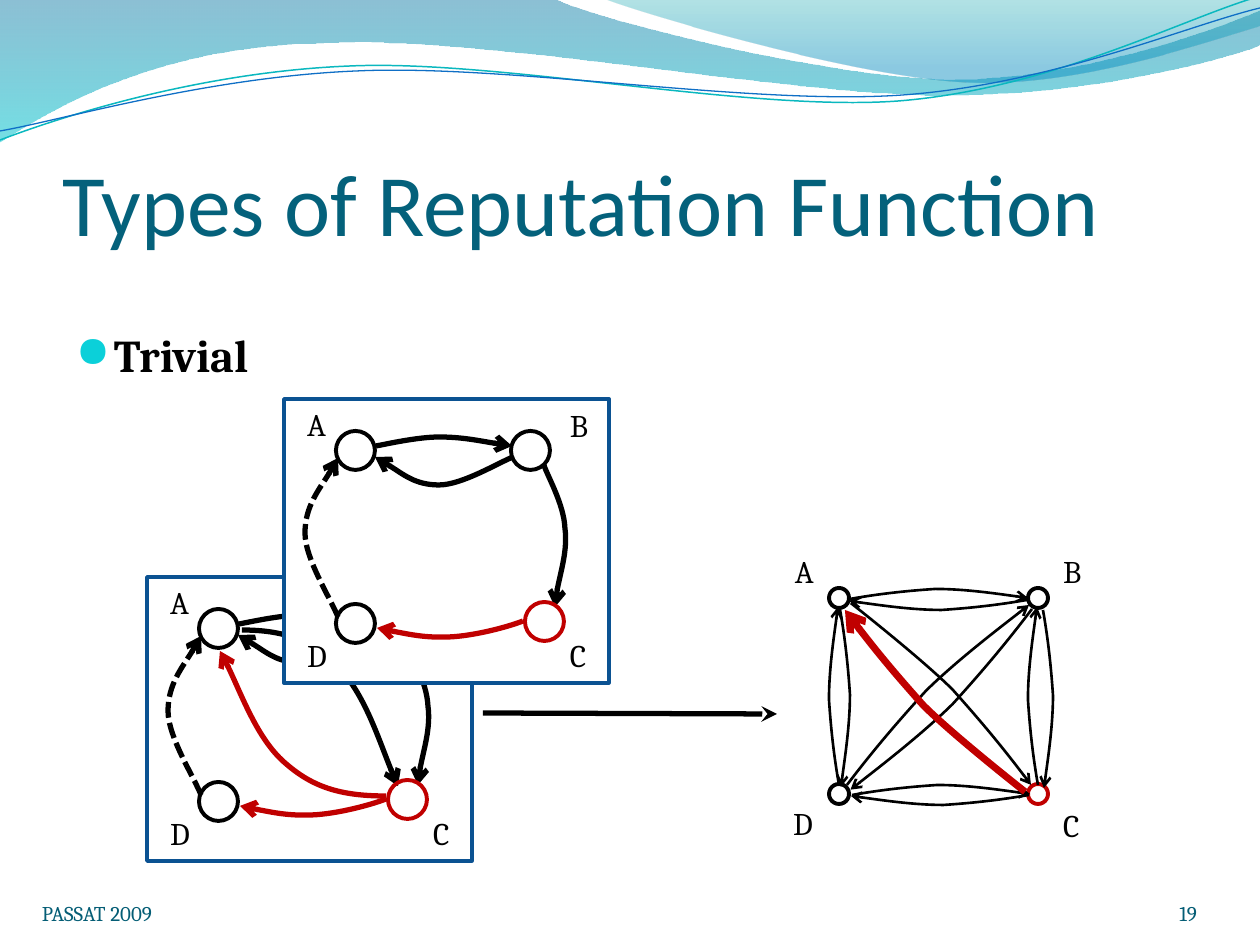
from math import cos, radians, sin

from lxml import etree
from pptx import Presentation
from pptx.dml.color import RGBColor
from pptx.enum.dml import MSO_LINE
from pptx.enum.shapes import MSO_CONNECTOR, MSO_SHAPE
from pptx.enum.text import MSO_ANCHOR, MSO_AUTO_SIZE, PP_ALIGN
from pptx.oxml.ns import qn
from pptx.util import Pt

OVAL, RECT = MSO_SHAPE.OVAL, MSO_SHAPE.RECTANGLE
STRAIGHT = MSO_CONNECTOR.STRAIGHT
DASH = MSO_LINE.SQUARE_DOT
TOP, BOTTOM = MSO_ANCHOR.TOP, MSO_ANCHOR.BOTTOM
LEFT, RIGHT = PP_ALIGN.LEFT, PP_ALIGN.RIGHT
FIT_SHAPE = MSO_AUTO_SIZE.SHAPE_TO_FIT_TEXT

EMU_PER_PX = 914400 / 126
BLACK, RED, WHITE = "000000", "C00000", "FFFFFF"
FOOTER_COLOUR = "045D75"

WAVES = [
    ((0, 0), [(554, -1), (600, 21, 837, 79, 955, 79), (1075, 79, 1207, 33, 1260, 11),
              (1261, 45), (1239, 55, 1096, 96, 940, 95), (784, 95, 481, 35, 324, 43),
              (163, 45, 58, 105, -1, 142), (0, 0)],
     [(0, "0074A1", 45), (1, "00C6CF", 55)]),
    ((604, -1), [(641, 14, 859, 78, 969, 82), (1079, 87, 1211, 40, 1260, 26),
                 (1260, 0), (604, -1)],
     [(0, "00A1A9", 30), (0.8, "008BBF", 45)]),
]
RIPPLES = [
    ((0, 140), [(60, 117, 199, 72, 349, 66), (498, 59, 747, 112, 898, 101),
                (1050, 89, 1182, 19, 1257, -3)], "0AB8BF", 0.85),
    ((0, 131), [(59, 121, 207, 77, 357, 71), (508, 64, 752, 106, 903, 95),
                (1053, 84, 1186, 26, 1260, 8)], "0F6FC6", 0.75),
]
PANEL_NODES = {
    "A": (52, 32, 10, 0), "B": (227, 32, 273, 1),
    "C": (241, 203, 273, 231), "D": (52, 205, 10, 231),
}
PANEL_EDGES = [
    ((92, 47), [(103, 45, 134, 38, 155, 38), (178, 38, 213, 45, 228, 47)], BLACK, None),
    ((229, 58), [(214, 64, 178, 86, 155, 86), (131, 86, 101, 63, 91, 58)], BLACK, None),
    ((239, 222), [(224, 228, 190, 237, 165, 238), (141, 239, 106, 232, 93, 229)], RED, None),
    ((54, 218), [(47, 200, 21, 160, 21, 134), (21, 107, 48, 72, 54, 59)], BLACK, DASH),
    ((260, 66), [(263, 76, 280, 105, 281, 129), (284, 151, 271, 193, 271, 208)], BLACK, None),
]
DIRECT_EDGES = [
    ((239, 219), [(193, 219, 165, 210, 137, 185), (110, 161, 87, 98, 73, 74)], RED, None),
    ((95, 53), [(137, 53, 164, 63, 190, 89), (217, 115, 238, 181, 251, 209)], BLACK, None),
]
NETWORK_NODES = {
    "A": (49, 42, 2, 0), "B": (248, 42, 270, 0),
    "C": (248, 238, 270, 254), "D": (49, 238, 0, 252),
}
SIDE, DIAGONAL = (178, 10), (256, 12)
MIRRORED = (256, -12)
NETWORK_ARCS = [
    ((70, 53), SIDE, 0), ((247, 54), SIDE, 180),
    ((72, 249), SIDE, 0), ((249, 249), SIDE, 180),
    ((258, 239), SIDE, 270), ((263, 64), SIDE, 90),
    ((59, 239), SIDE, 270), ((60, 63), SIDE, 90),
    ((67, 239), DIAGONAL, 315.6), ((252, 63), DIAGONAL, 135.4),
    ((251, 239), MIRRORED, 225, "a:headEnd"),
    ((65, 64), MIRRORED, 45, "a:headEnd", RED, 4),
]
ARC_PROFILE = [(0.16, -0.5, 0.31, -0.8, 0.48, -1), (0.65, -1, 1, -0.1, 1, -0.1)]


def px(length):
    """Turn px into EMU."""
    return round(length * EMU_PER_PX)


def rgb(colour):
    """Turn a hex string into a colour."""
    return RGBColor.from_string(colour)


def pairs(step):
    """Split a flat step into points."""
    return list(zip(step[::2], step[1::2]))


def moved(step, x, y):
    """Shift a flat step by x and y."""
    return tuple(v + (y if i % 2 else x) for i, v in enumerate(step))


def set_line(shape, colour, width, dash=None, arrow=None, end="a:tailEnd"):
    """Style an outline, with an optional dash and arrowhead."""
    shape.line.color.rgb = rgb(colour)
    shape.line.width = Pt(width)
    if dash is not None:
        shape.line.dash_style = dash
    if arrow:
        outline = shape.line._get_or_add_ln()
        etree.SubElement(outline, qn(end)).set("type", arrow)


def add_path(slide, start, steps, closed=False):
    """Add an outline of straight steps (2 numbers) and cubic steps (6 numbers)."""
    trace, here = [], start
    for step in steps:
        if len(step) == 2:
            trace.append(step)
        else:
            knots = [here] + pairs(step)
            for t in (i / 12 for i in range(1, 13)):
                weights = ((1 - t) ** 3, 3 * t * (1 - t) ** 2, 3 * t * t * (1 - t), t ** 3)
                trace.append(tuple(sum(w * k[axis] for w, k in zip(weights, knots))
                                   for axis in (0, 1)))
        here = step[-2:]
    builder = slide.shapes.build_freeform(px(start[0]), px(start[1]))
    builder.add_line_segments([(px(x), px(y)) for x, y in trace], close=closed)
    shape = builder.convert_to_shape()
    shape.shadow.inherit = False
    outline = shape._element.find(".//" + qn("a:path"))
    for child in list(outline):
        outline.remove(child)
    for i, step in enumerate([start] + steps):
        tag = "a:cubicBezTo" if len(step) == 6 else "a:lnTo" if i else "a:moveTo"
        command = etree.SubElement(outline, qn(tag))
        for x, y in pairs(step):
            point = etree.SubElement(command, qn("a:pt"))
            point.set("x", str(px(x) - shape.left))
            point.set("y", str(px(y) - shape.top))
    if closed:
        etree.SubElement(outline, qn("a:close"))
    else:
        shape.fill.background()
    return shape


def add_preset(slide, kind, box, colour, width, fill=None):
    """Add an outlined preset shape."""
    shape = slide.shapes.add_shape(kind, *map(px, box))
    shape.shadow.inherit = False
    if fill:
        shape.fill.solid()
        shape.fill.fore_color.rgb = rgb(fill)
    else:
        shape.fill.background()
    set_line(shape, colour, width)


def add_text(slide, box, text, size, colour=BLACK, font="Cambria", bold=False,
             align=LEFT, anchor=TOP, insets=(0, 0, 0, 0), bullet=None, wrap=True):
    """Add a one-paragraph text box."""
    frame = slide.shapes.add_textbox(*map(px, box)).text_frame
    frame.word_wrap = wrap
    if not wrap:
        frame.auto_size = FIT_SHAPE
    frame.vertical_anchor = anchor
    (frame.margin_left, frame.margin_top,
     frame.margin_right, frame.margin_bottom) = map(px, insets)
    paragraph = frame.paragraphs[0]
    paragraph.alignment = align
    if bullet:
        properties = paragraph._p.get_or_add_pPr()
        properties.set("marL", str(px(38)))
        properties.set("indent", str(-px(38)))
        tint = etree.SubElement(properties, qn("a:buClr"))
        etree.SubElement(tint, qn("a:srgbClr")).set("val", bullet)
        etree.SubElement(properties, qn("a:buSzPct")).set("val", "95000")
        etree.SubElement(properties, qn("a:buChar")).set("char", "●")
    run = paragraph.add_run()
    run.text = text
    run.font.name, run.font.size, run.font.bold = font, Pt(size), bold
    run.font.color.rgb = rgb(colour)


def add_header(slide):
    """Draw the waves along the top of the slide."""
    for start, steps, stops in WAVES:
        wave = add_path(slide, start, steps, closed=True)
        wave.line.fill.background()
        wave.fill.gradient()
        wave.fill.gradient_angle = 270
        for stop, (position, colour, opacity) in zip(wave.fill.gradient_stops, stops):
            stop.position = position
            stop.color.rgb = rgb(colour)
            tint = stop._gs.find(qn("a:srgbClr"))
            etree.SubElement(tint, qn("a:alpha")).set("val", str(opacity * 1000))
    for start, steps, colour, width in RIPPLES:
        set_line(add_path(slide, start, steps), colour, width)


def add_nodes(slide, x, y, nodes, diameter):
    """Draw labelled nodes, with C in red."""
    for name, (left, top, label_left, label_top) in nodes.items():
        add_preset(slide, OVAL, (x + left, y + top, diameter, diameter),
                   RED if name == "C" else BLACK, 2.25)
        add_text(slide, (x + label_left, y + label_top, 47, 50), name, 18,
                 insets=(13, 6, 13, 6), wrap=False)


def add_panel(slide, x, y, names, edges, fill=None):
    """Draw a framed trust graph at x, y."""
    add_preset(slide, RECT, (x, y, 325, 284), "0B5292", 2, fill)
    for start, steps, colour, dash in edges:
        edge = add_path(slide, moved(start, x, y), [moved(step, x, y) for step in steps])
        set_line(edge, colour, 3, dash, "arrow")
    add_nodes(slide, x, y, {name: PANEL_NODES[name] for name in names}, 39)


def add_arc(slide, start, span, angle, end="a:tailEnd", colour=BLACK, width=1.5):
    """Draw a bowed arrow of a given length and bow, turned by an angle."""
    length, bow = span
    c, s = cos(radians(angle)), sin(radians(angle))
    steps = []
    for step in ARC_PROFILE:
        turned = [(u * length * c - v * bow * s, u * length * s + v * bow * c)
                  for u, v in pairs(step)]
        steps.append(moved(sum(turned, ()), *start))
    set_line(add_path(slide, start, steps), colour, width, None, "arrow", end)


def add_network(slide, x, y):
    """Draw the complete reputation graph at x, y."""
    add_nodes(slide, x, y, NETWORK_NODES, 20)
    for start, *style in NETWORK_ARCS:
        add_arc(slide, moved(start, x, y), *style)


def add_mapping_arrow(slide, x, y, length):
    """Draw the arrow from the trust graphs to the reputation graph."""
    arrow = slide.shapes.add_connector(STRAIGHT, px(x), px(y), px(x + length), px(y + 1))
    set_line(arrow, BLACK, 3, None, "stealth")
    etree.SubElement(arrow._element.spPr, qn("a:effectLst"))


def main():
    """Build and save the slide."""
    deck = Presentation()
    deck.slide_width, deck.slide_height = px(1260), px(945)
    slide = deck.slides.add_slide(deck.slide_layouts[6])
    add_header(slide)
    add_text(slide, (63, 97, 1134, 157), "Types of Reputation Function", 50, "04617B",
             "Calibri", anchor=BOTTOM, insets=(0, 6, 0, 0))
    add_text(slide, (63, 267, 1134, 605), "Trivial", 26, bold=True,
             insets=(13, 72, 13, 6), bullet="0BD0D9")
    add_text(slide, (1092, 876, 105, 50), "19", 12, FOOTER_COLOUR, align=RIGHT, anchor=BOTTOM)
    add_text(slide, (42, 892, 136, 34), "PASSAT 2009", 12, FOOTER_COLOUR, anchor=BOTTOM)
    add_panel(slide, 147, 577, "ACD", PANEL_EDGES + DIRECT_EDGES)
    add_panel(slide, 284, 399, "ABCD", PANEL_EDGES, WHITE)
    add_mapping_arrow(slide, 483, 713, 294)
    add_network(slide, 780, 546)
    deck.save("out.pptx")


if __name__ == "__main__":
    main()
